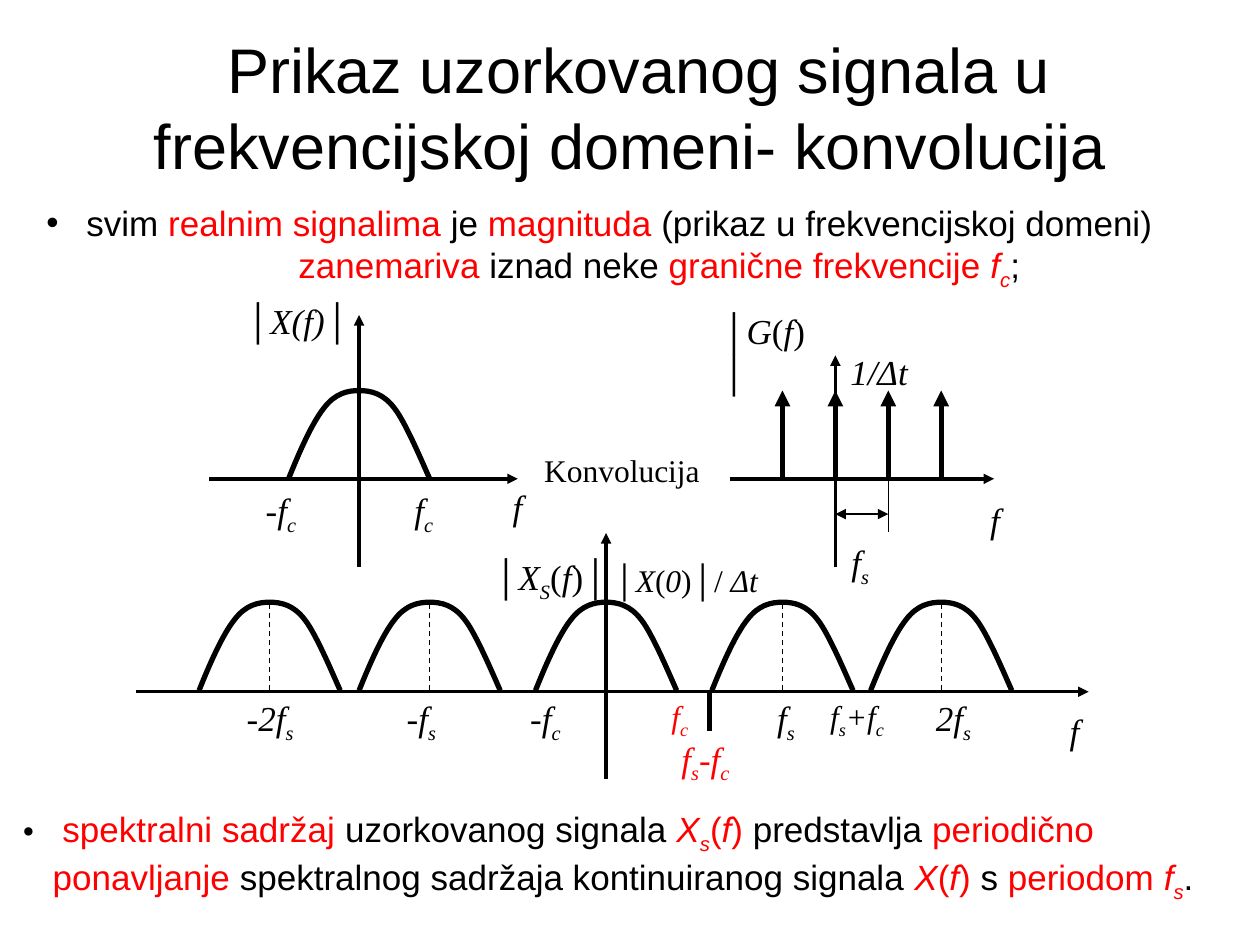
from lxml import etree
from pptx import Presentation
from pptx.dml.color import RGBColor
from pptx.enum.dml import MSO_LINE
from pptx.enum.shapes import MSO_CONNECTOR
from pptx.enum.text import MSO_ANCHOR, PP_ALIGN
from pptx.oxml.ns import qn
from pptx.util import Inches, Pt

BLACK, RED = "000000", "FF0000"
SANS, SERIF = "Arial", "Times New Roman"
HILL_W, HILL_H = 1.12, 0.7
# Bezier points of a hill as fractions of its width and height
HILL = [(0, 1), (0.08, 0.68), (0.17, 0.36), (0.25, 0.2), (0.33, 0.03), (0.42, 0),
        (0.5, 0), (0.58, 0), (0.67, 0.03), (0.75, 0.2), (0.83, 0.36), (0.96, 0.86), (1, 1)]


def color(value):
    return RGBColor.from_string(value)


def add_runs(p, runs, size, font, base=BLACK):
    """Runs are (text, flags): i italic, s subscript, r red."""
    for text, flags in runs:
        r = p.add_run()
        r.text = text
        fmt = {"name": font, "size": Pt(size), "italic": "i" in flags, "bold": False}
        for key, value in fmt.items():
            setattr(r.font, key, value)
        r.font.color.rgb = color(RED if "r" in flags else base)
        if "s" in flags:
            r.font._element.set("baseline", "-25000")


def add_box(slide, x, y, w, h):
    tf = slide.shapes.add_textbox(Inches(x), Inches(y), Inches(w), Inches(h)).text_frame
    tf.word_wrap = True
    return tf


def add_label(slide, x, y, w, runs, size=20, base=BLACK):
    tf = add_box(slide, x, y, w, 0.42)
    add_runs(tf.paragraphs[0], runs, size, SERIF, base)


def add_line(slide, x1, y1, x2, y2, width=2, head=False, tail=False, dashed=False):
    s = slide.shapes.add_connector(
        MSO_CONNECTOR.STRAIGHT, Inches(x1), Inches(y1), Inches(x2), Inches(y2))
    s.line.width = Pt(width)
    s.line.color.rgb = color(BLACK)
    if dashed:
        s.line.dash_style = MSO_LINE.DASH
    ln = s.line._get_or_add_ln()
    for tag, wanted in (("a:headEnd", head), ("a:tailEnd", tail)):
        if wanted:
            etree.SubElement(ln, qn(tag), type="triangle")
    etree.SubElement(s._element.spPr, qn("a:effectLst"))


def bend_segments(s):
    """Turn each three line segments of a freeform into one Bezier curve."""
    lines = list(s._element.iter(qn("a:lnTo")))
    for i in range(0, len(lines), 3):
        curve = etree.Element(qn("a:cubicBezTo"))
        lines[i].addprevious(curve)
        for line in lines[i:i + 3]:
            curve.append(line[0])
            line.getparent().remove(line)


def add_hill(slide, center, base):
    left, top = center - HILL_W / 2, base - HILL_H
    pts = [(Inches(left + fx * HILL_W), Inches(top + fy * HILL_H)) for fx, fy in HILL]
    builder = slide.shapes.build_freeform(*pts[0])
    builder.add_line_segments(pts[1:], close=False)
    s = builder.convert_to_shape()
    bend_segments(s)
    s.shadow.inherit = False
    s.fill.background()
    s.line.color.rgb = color(BLACK)
    s.line.width = Pt(3)


def add_title(slide, x, y, w, h):
    s = slide.shapes.title
    s.left, s.top, s.width, s.height = (Inches(v) for v in (x, y, w, h))
    tf = s.text_frame
    tf.word_wrap, tf.vertical_anchor = True, MSO_ANCHOR.MIDDLE
    p = tf.paragraphs[0]
    p.alignment = PP_ALIGN.CENTER
    add_runs(p, [(" Prikaz uzorkovanog signala u frekvencijskoj domeni- konvolucija", "")], 36, SANS)


def add_bullet(slide, x, y, w, h, bullet_font, runs, tail=(), tail_indent=0):
    """A bullet point, with an optional unbulleted line indented under it."""
    tf = add_box(slide, x, y, w, h)
    p = tf.paragraphs[0]
    pPr = p._p.get_or_add_pPr()
    pPr.set("marL", str(Inches(0.24)))
    pPr.set("indent", str(-Inches(0.24)))
    clr = etree.SubElement(pPr, qn("a:buClr"))
    etree.SubElement(clr, qn("a:srgbClr"), val=BLACK)
    etree.SubElement(pPr, qn("a:buFont"), typeface=bullet_font)
    etree.SubElement(pPr, qn("a:buChar"), char="•")
    add_runs(p, runs, 20, SANS)
    if tail:
        p = tf.add_paragraph()
        p._p.get_or_add_pPr().set("marL", str(Inches(tail_indent)))
        add_runs(p, tail, 20, SANS)


def add_signal_spectrum(slide, x, y):
    mid, base = x + 1.19, y + 1.47
    add_line(slide, mid, y + 2.17, mid, y + 0.17, tail=True)
    add_line(slide, x, base, x + 2.45, base, tail=True)
    add_hill(slide, mid, base)
    add_label(slide, x + 0.19, y, 1.18, [("│", ""), ("X(f)", "i"), ("│", "")])
    add_label(slide, x + 2.31, base, 0.42, [("f", "i")])
    add_label(slide, x + 1.53, base + 0.03, 0.42, [("f", "i"), ("c", "is")])
    add_label(slide, x + 0.35, base + 0.03, 0.57, [("-f", "i"), ("c", "is")])


def add_pulse_spectrum(slide, x, y):
    mid, base, step = x + 0.84, y + 1.39, 0.42
    add_line(slide, x, base, x + 2.1, base, tail=True)
    add_line(slide, mid, base + 0.7, mid, y + 0.41, tail=True)
    for k in range(-1, 3):
        add_line(slide, mid + k * step, base, mid + k * step, base - 0.7, 3, tail=True)
    add_line(slide, mid + step, base, mid + step, base + 0.42, 0.75)
    add_line(slide, mid, base + 0.28, mid + step, base + 0.28, 0.75, head=True, tail=True)
    add_label(slide, mid + 0.02, y + 0.32, 0.7, [("1/Δt", "i")])
    add_label(slide, mid + 0.03, base + 0.44, 0.44, [("f", "i"), ("s", "is")])
    add_label(slide, x + 1.97, base + 0.11, 0.42, [("f", "i")])
    add_label(slide, x - 0.16, y, 1.04,
              [("│", ""), ("G", "i"), ("(", ""), ("f", "i"), (")│", "")])


def add_sampled_spectrum(slide, x, y):
    mid, base = x + 3.73, y + 1.25
    add_line(slide, mid, y + 1.95, mid, y, tail=True)
    add_line(slide, x, base + 0.01, x + 7.56, base + 0.01, tail=True)
    add_hill(slide, mid, base)
    for center in (1.06, 2.33, 5.13, 6.39):
        add_hill(slide, x + center, base)
        add_line(slide, x + center, base, x + center, base - HILL_H, 0.75, dashed=True)
    add_line(slide, x + 4.55, base, x + 4.55, base + 0.32, 3)
    fc, fs = [("f", "i"), ("c", "is")], [("f", "i"), ("s", "is")]
    labels = [
        (0.78, 0, 0.7, [("-2f", "i"), ("s", "is")], 20, BLACK),
        (2.05, 0, 0.56, [("-f", "i"), ("s", "is")], 20, BLACK),
        (3.03, 0, 0.58, [("-f", "i"), ("c", "is")], 20, BLACK),
        (4.15, 0, 0.42, fc, 18, RED),
        (4.23, 0.32, 0.7, fs + [("-f", "i"), ("c", "is")], 20, RED),
        (4.99, 0, 0.42, fs, 20, BLACK),
        (5.41, 0, 0.7, fs + [("+f", "i"), ("c", "is")], 18, BLACK),
        (6.25, 0, 0.56, [("2f", "i"), ("s", "is")], 20, BLACK),
        (7.31, 0.1, 0.42, [("f", "i")], 20, BLACK),
        (2.74, -1.12, 1.13,
         [("│", ""), ("X", "i"), ("S", "is"), ("(", ""), ("f", "i"), (")│", "")], 20, BLACK),
        (3.69, -1.08, 1.65,
         [("│", ""), ("X", "i"), ("(", ""), ("0", "i"), (")│/ ", ""), ("Δt", "i")], 18, BLACK),
    ]
    for dx, dy, w, runs, size, base_color in labels:
        add_label(slide, x + dx, base + dy, w, runs, size, base_color)


def main():
    prs = Presentation()
    prs.slide_width, prs.slide_height = Inches(10), Inches(7.5)
    slide = prs.slides.add_slide(prs.slide_layouts[5])
    add_title(slide, 0.5, 0.3, 9, 1.09)
    add_bullet(
        slide, 0.27, 1.55, 9.47, 0.82, SANS,
        [(" svim ", ""), ("realnim signalima", "r"), (" je ", ""), ("magnituda", "r"),
         (" (prikaz u frekvencijskoj domeni)", "")],
        [("zanemariva", "r"), (" iznad neke ", ""), ("granične frekvencije ", "r"),
         ("f", "ir"), ("c", "irs"), (";", "")], 2)
    add_signal_spectrum(slide, 1.66, 2.33)
    add_label(slide, 4.22, 3.53, 1.48, [("Konvolucija", "")], 18)
    add_pulse_spectrum(slide, 5.79, 2.41)
    add_sampled_spectrum(slide, 1.08, 4.23)
    add_bullet(
        slide, 0.08, 6.36, 9.73, 1.19, SERIF,
        [(" ", ""), ("spektralni sadržaj ", "r"), ("uzorkovanog signala ", ""), ("X", "ir"),
         ("s", "irs"), ("(", "r"), ("f", "ir"), (")", "r"), (" predstavlja ", ""),
         ("periodično ponavljanje ", "r"), ("spektralnog sadržaja kontinuiranog signala ", ""),
         ("X", "ir"), ("(", "r"), ("f", "ir"), (")", "r"), (" s ", ""), ("periodom ", "r"),
         ("f", "ir"), ("s", "irs"), (".", "")])
    prs.save("out.pptx")


if __name__ == "__main__":
    main()
